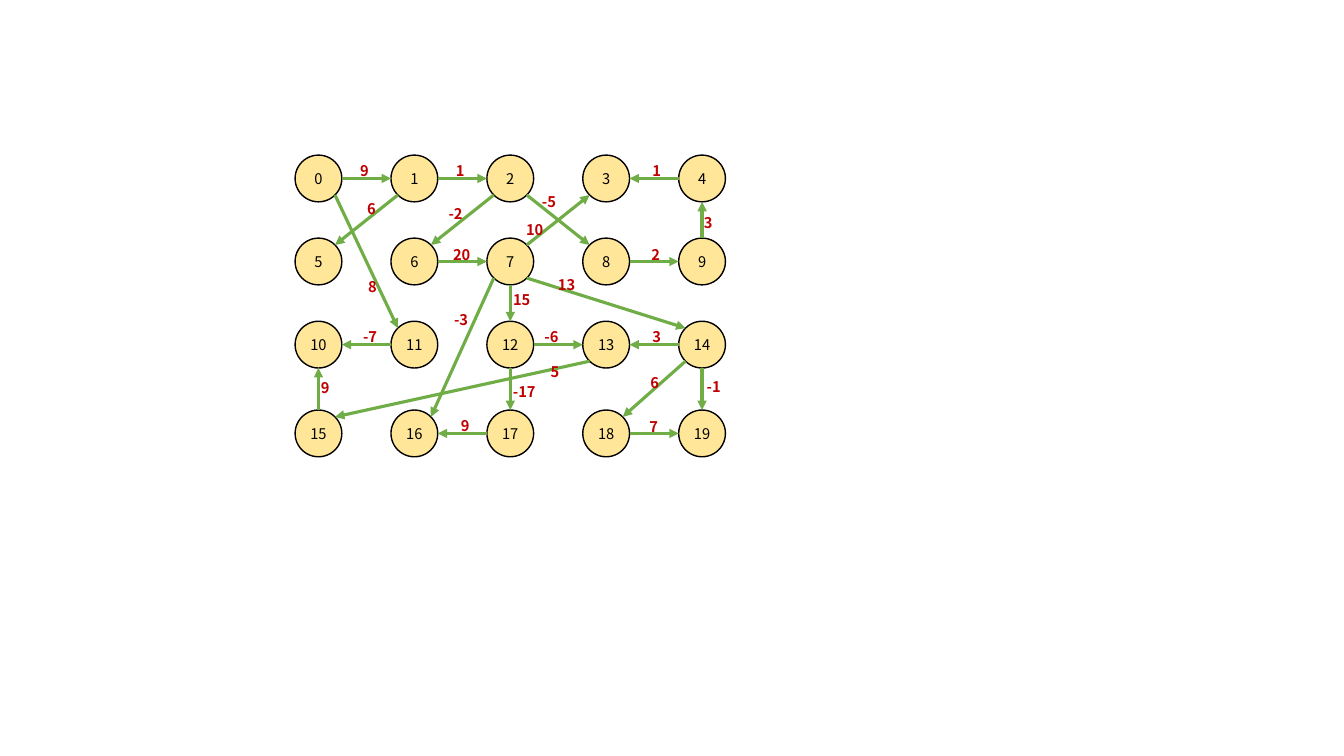
"""Build a slide with a directed, weighted graph of twenty numbered nodes."""
from math import cos, pi, sin

from lxml import etree
from pptx import Presentation
from pptx.dml.color import RGBColor
from pptx.enum.shapes import MSO_CONNECTOR, MSO_SHAPE
from pptx.enum.text import MSO_ANCHOR, PP_ALIGN
from pptx.oxml.ns import qn
from pptx.util import Pt

OVAL = MSO_SHAPE.OVAL
STRAIGHT = MSO_CONNECTOR.STRAIGHT
CENTER = PP_ALIGN.CENTER
MIDDLE = MSO_ANCHOR.MIDDLE

COLORS = {"node": "FFE699", "ink": "000000", "edge": "70AD47", "weight": "C00000"}
FONT = "Noto Sans CJK KR"
FONT_SIZE = 10.5

COLUMNS = 5
FIRST_CENTER_X = 227.5
COLUMN_STEP = 68.5
ROW_CENTERS_Y = (127.5, 186.8, 246.2, 309.6)
DIAMETER = 33.4
WEIGHT_HEIGHT = 20.2
DIGIT_WIDTH = 16.6

TOP, TOP_LEFT, LEFT, BOTTOM_LEFT, BOTTOM, BOTTOM_RIGHT, RIGHT, TOP_RIGHT = range(8)

EDGES = [
    (0, RIGHT, 1, LEFT),
    (0, BOTTOM_RIGHT, 11, TOP_LEFT),
    (1, BOTTOM_LEFT, 5, TOP_RIGHT),
    (1, RIGHT, 2, LEFT),
    (2, BOTTOM_LEFT, 6, TOP_RIGHT),
    (6, RIGHT, 7, LEFT),
    (2, BOTTOM_RIGHT, 8, TOP_LEFT),
    (7, TOP_RIGHT, 3, BOTTOM_LEFT),
    (8, RIGHT, 9, LEFT),
    (9, TOP, 4, BOTTOM),
    (11, LEFT, 10, RIGHT),
    (7, BOTTOM_LEFT, 16, TOP_RIGHT),
    (7, BOTTOM, 12, TOP),
    (12, BOTTOM, 17, TOP),
    (13, BOTTOM_LEFT, 15, TOP_RIGHT),
    (7, BOTTOM_RIGHT, 14, TOP_LEFT),
    (14, LEFT, 13, RIGHT),
    (14, BOTTOM_LEFT, 18, TOP_RIGHT),
    (14, BOTTOM, 19, TOP),
    (12, RIGHT, 13, LEFT),
    (17, LEFT, 16, RIGHT),
    (15, TOP, 10, BOTTOM),
    (18, RIGHT, 19, LEFT),
    (4, LEFT, 3, RIGHT),
]

WEIGHTS = [
    ("9", 252, 111.6, DIGIT_WIDTH),
    ("1", 320.4, 111.6, DIGIT_WIDTH),
    ("1", 460.8, 111.6, DIGIT_WIDTH),
    ("2", 460.1, 171.4, DIGIT_WIDTH),
    ("3", 460.8, 230.4, DIGIT_WIDTH),
    ("-6", 380.2, 230.4, 27.4),
    ("-7", 250.6, 230.4, 27.4),
    ("9", 324, 293.8, DIGIT_WIDTH),
    ("20", 315.4, 171.4, 28.8),
    ("7", 458.6, 294.5, DIGIT_WIDTH),
    ("6", 257, 139, DIGIT_WIDTH),
    ("8", 257.8, 194.4, DIGIT_WIDTH),
    ("-2", 312.5, 142.6, 25.9),
    ("-5", 376.6, 133.9, 31),
    ("10", 366.5, 154.1, 31),
    ("3", 497.5, 149, DIGIT_WIDTH),
    ("13", 391, 193, 27.4),
    ("15", 357.1, 203.8, 31),
    ("-3", 314.6, 218.2, 29.5),
    ("-17", 358.6, 269.3, 31.7),
    ("5", 388.1, 255.6, DIGIT_WIDTH),
    ("6", 459.4, 263.5, DIGIT_WIDTH),
    ("-1", 495.4, 265.7, 28.8),
    ("9", 223.9, 266.4, DIGIT_WIDTH),
]


def color(name):
    """Return the palette colour with the given name."""
    return RGBColor.from_string(COLORS[name])


def write_centered(frame, text, color_name, bold=False):
    """Fill a text frame with one centred line."""
    frame.margin_left = frame.margin_right = 0
    frame.margin_top = frame.margin_bottom = 0
    frame.word_wrap = True
    frame.vertical_anchor = MIDDLE
    frame.text = text
    line = frame.paragraphs[0]
    line.alignment = CENTER
    font = line.runs[0].font
    font.name = FONT
    font.size = Pt(FONT_SIZE)
    font.bold = bold
    font.color.rgb = color(color_name)


def node_center(number):
    """Return the centre of a node in the grid, in points."""
    row, column = divmod(number, COLUMNS)
    return FIRST_CENTER_X + column * COLUMN_STEP, ROW_CENTERS_Y[row]


def site_point(number, site):
    """Return a connection site, counted anticlockwise from the node's top."""
    x, y = node_center(number)
    angle = site * pi / 4
    radius = DIAMETER / 2
    return Pt(x - radius * sin(angle)), Pt(y - radius * cos(angle))


def add_node(slide, number):
    """Add a numbered circle and return it."""
    x, y = node_center(number)
    node = slide.shapes.add_shape(
        OVAL, Pt(x - DIAMETER / 2), Pt(y - DIAMETER / 2), Pt(DIAMETER), Pt(DIAMETER)
    )
    node.shadow.inherit = False
    node.fill.solid()
    node.fill.fore_color.rgb = color("node")
    node.line.color.rgb = color("ink")
    node.line.width = Pt(1)
    write_centered(node.text_frame, str(number), "ink")
    return node


def add_edge(slide, nodes, source, source_site, target, target_site):
    """Add an arrow glued to sites of two nodes."""
    edge = slide.shapes.add_connector(
        STRAIGHT, *site_point(source, source_site), *site_point(target, target_site)
    )
    edge.line.color.rgb = color("edge")
    edge.line.width = Pt(2.25)
    etree.SubElement(edge.line._get_or_add_ln(), qn("a:tailEnd"), type="triangle")
    etree.SubElement(edge._element.spPr, qn("a:effectLst"))
    glue = edge._element.nvCxnSpPr.cNvCxnSpPr
    for tag, number, site in (
        ("a:stCxn", source, source_site),
        ("a:endCxn", target, target_site),
    ):
        node_id = str(nodes[number].shape_id)
        etree.SubElement(glue, qn(tag), id=node_id, idx=str(site))


def add_weight(slide, text, left, top, width):
    """Add the weight of an edge."""
    weight = slide.shapes.add_textbox(Pt(left), Pt(top), Pt(width), Pt(WEIGHT_HEIGHT))
    write_centered(weight.text_frame, text, "weight", bold=True)


def main():
    """Draw the graph and save the presentation."""
    deck = Presentation()
    deck.slide_width, deck.slide_height = Pt(960), Pt(540)
    slide = deck.slides.add_slide(deck.slide_layouts[6])
    nodes = [add_node(slide, number) for number in range(COLUMNS * len(ROW_CENTERS_Y))]
    for edge in EDGES:
        add_edge(slide, nodes, *edge)
    for weight in WEIGHTS:
        add_weight(slide, *weight)
    deck.save("out.pptx")


main()
